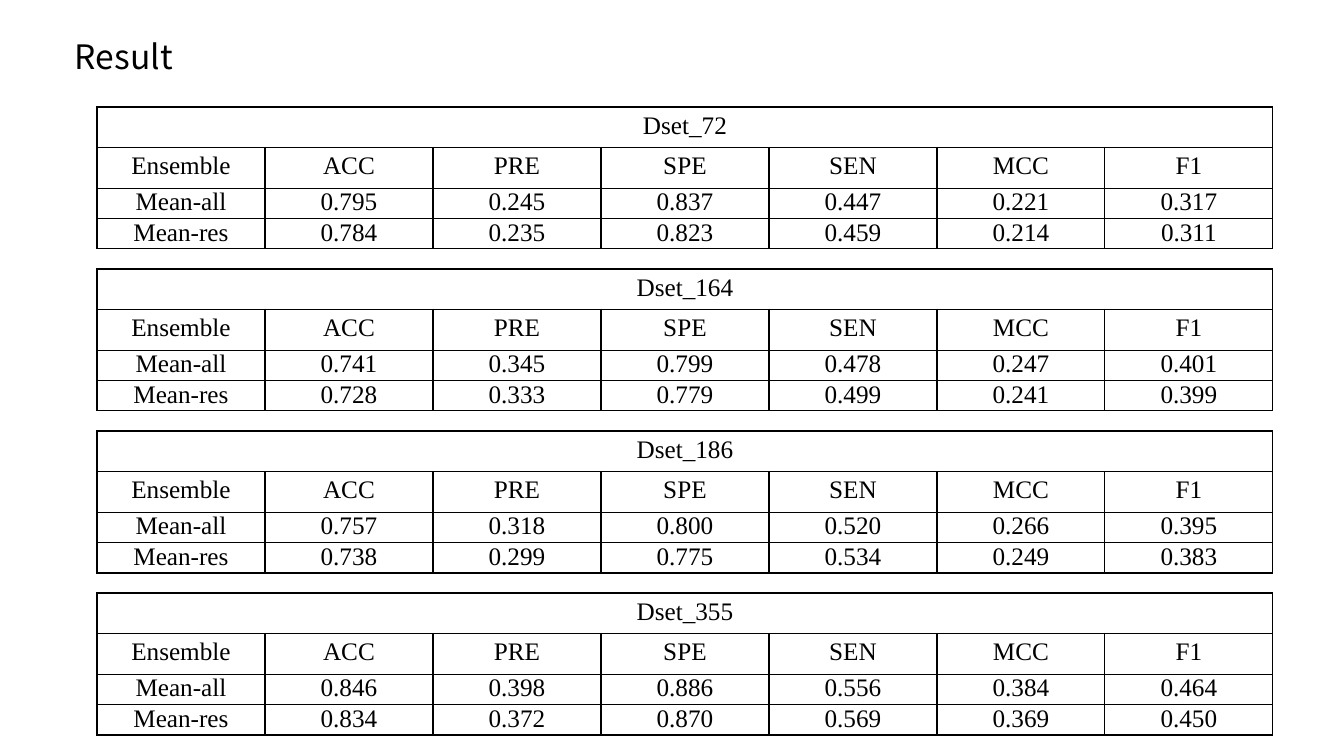
from lxml import etree
from pptx import Presentation
from pptx.dml.color import RGBColor
from pptx.enum.text import MSO_AUTO_SIZE, PP_ALIGN
from pptx.oxml.ns import qn
from pptx.util import Pt

CENTER = PP_ALIGN.CENTER
LEFT = PP_ALIGN.LEFT
GROW = MSO_AUTO_SIZE.SHAPE_TO_FIT_TEXT
EMU_PER_PX = 914400 / 100.8

METRICS = ["Ensemble", "ACC", "PRE", "SPE", "SEN", "MCC", "F1"]
RESULTS = {
    "Dset_72": [
        ["Mean-all", "0.795", "0.245", "0.837", "0.447", "0.221", "0.317"],
        ["Mean-res", "0.784", "0.235", "0.823", "0.459", "0.214", "0.311"],
    ],
    "Dset_164": [
        ["Mean-all", "0.741", "0.345", "0.799", "0.478", "0.247", "0.401"],
        ["Mean-res", "0.728", "0.333", "0.779", "0.499", "0.241", "0.399"],
    ],
    "Dset_186": [
        ["Mean-all", "0.757", "0.318", "0.800", "0.520", "0.266", "0.395"],
        ["Mean-res", "0.738", "0.299", "0.775", "0.534", "0.249", "0.383"],
    ],
    "Dset_355": [
        ["Mean-all", "0.846", "0.398", "0.886", "0.556", "0.384", "0.464"],
        ["Mean-res", "0.834", "0.372", "0.870", "0.569", "0.369", "0.450"],
    ],
}
ROW_HEIGHTS = [40, 41, 30, 30]
HEADER_ROWS = 2
COLUMN_WIDTH = 168
TABLE_LEFT, TABLE_TOP, TABLE_PITCH = 97, 107, 162


def px(length):
    return round(length * EMU_PER_PX)


def color(value):
    return RGBColor.from_string(value)


class ResultSlide:
    title_font = "Noto Sans CJK SC"
    table_font = "Times New Roman"
    ink = "000000"
    paper = "FFFFFF"

    def __init__(self, slide):
        self.slide = slide

    def add_text(self, frame, text, font, size, align):
        paragraph = frame.paragraphs[0]
        paragraph.alignment = align
        run = paragraph.add_run()
        run.text = text
        run.font.name = font
        run.font.size = Pt(size)
        run.font.color.rgb = color(self.ink)
        east_asian = etree.SubElement(run.font._element, qn("a:ea"))
        east_asian.set("typeface", font)

    def title(self, text, left, top, width, height):
        heading = self.slide.shapes.add_textbox(*map(px, (left, top, width, height)))
        heading.text_frame.word_wrap = True
        heading.text_frame.auto_size = GROW
        self.add_text(heading.text_frame, text, self.title_font, 24, LEFT)

    def outline(self, cell):
        properties = cell._tc.get_or_add_tcPr()
        for side in ("a:lnL", "a:lnR", "a:lnT", "a:lnB"):
            border = etree.SubElement(properties, qn(side), w=str(Pt(1)))
            fill = etree.SubElement(border, qn("a:solidFill"))
            etree.SubElement(fill, qn("a:srgbClr"), val=self.ink)

    def table(self, dataset, scores, left, top):
        rows = [[dataset], METRICS, *scores]
        width = COLUMN_WIDTH * len(METRICS)
        frame = self.slide.shapes.add_table(
            len(rows), len(METRICS),
            *map(px, (left, top, width, sum(ROW_HEIGHTS))))
        grid = frame.table
        grid.first_row = False
        grid.horz_banding = False
        for column in grid.columns:
            column.width = px(COLUMN_WIDTH)
        for row, height in zip(grid.rows, ROW_HEIGHTS):
            row.height = px(height)
        for cell in grid.iter_cells():
            self.outline(cell)
            cell.fill.solid()
            cell.fill.fore_color.rgb = color(self.paper)
        grid.cell(0, 0).merge(grid.cell(0, len(METRICS) - 1))
        for row_index, texts in enumerate(rows):
            for column_index, text in enumerate(texts):
                cell = grid.cell(row_index, column_index)
                if row_index >= HEADER_ROWS:
                    cell.margin_left = cell.margin_right = px(7)
                    cell.margin_top = cell.margin_bottom = 0
                self.add_text(cell.text_frame, text, self.table_font, 18, CENTER)


def main():
    deck = Presentation()
    deck.slide_width, deck.slide_height = px(1344), px(756)
    page = ResultSlide(deck.slides.add_slide(deck.slide_layouts[6]))
    page.title("Result", 65, 31, 222, 50)
    for index, (dataset, scores) in enumerate(RESULTS.items()):
        page.table(dataset, scores, TABLE_LEFT, TABLE_TOP + index * TABLE_PITCH)
    deck.save("out.pptx")


if __name__ == "__main__":
    main()
